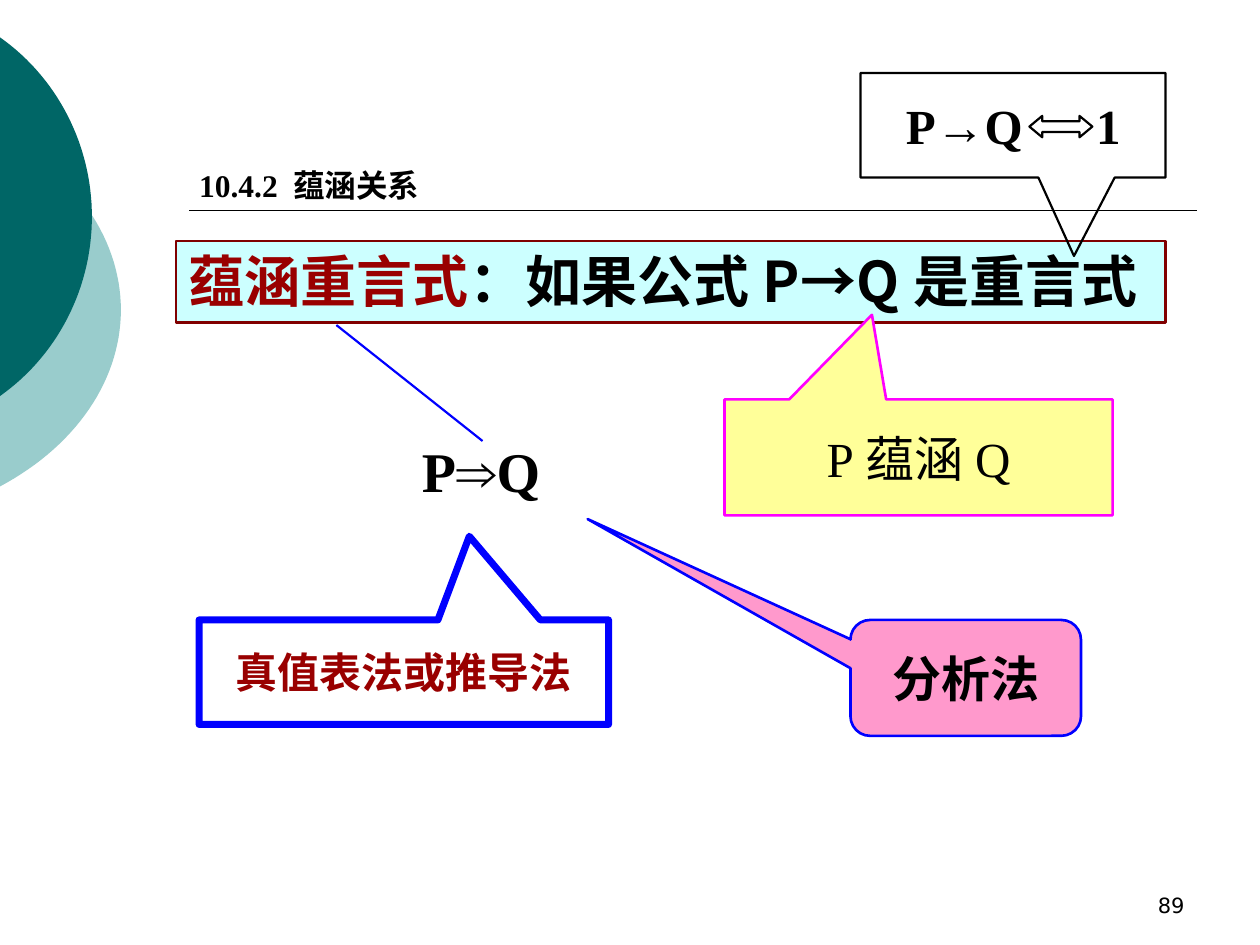
from math import acos, cos, sin

from lxml import etree
from pptx import Presentation
from pptx.dml.color import RGBColor
from pptx.enum.shapes import MSO_CONNECTOR, MSO_SHAPE
from pptx.enum.text import MSO_ANCHOR, PP_ALIGN
from pptx.oxml.ns import qn
from pptx.util import Inches, Pt

RECT = MSO_SHAPE.RECTANGLE
CALLOUT = MSO_SHAPE.RECTANGULAR_CALLOUT
ROUND_CALLOUT = MSO_SHAPE.ROUNDED_RECTANGULAR_CALLOUT
DOUBLE_ARROW = MSO_SHAPE.LEFT_RIGHT_ARROW
STRAIGHT = MSO_CONNECTOR.STRAIGHT
TOP, MIDDLE, BOTTOM = MSO_ANCHOR.TOP, MSO_ANCHOR.MIDDLE, MSO_ANCHOR.BOTTOM
LEFT, CENTER, RIGHT = PP_ALIGN.LEFT, PP_ALIGN.CENTER, PP_ALIGN.RIGHT

SERIF, CJK, SANS = "Times New Roman", "Noto Sans CJK SC", "DejaVu Sans"
COLORS = {
    "black": "000000", "teal": "006666", "light teal": "99CCCC",
    "cyan": "CCFFFF", "maroon": "800000", "red": "990000", "blue": "0000FF",
    "yellow": "FFFF99", "magenta": "FF00FF", "pink": "FF99CC",
}


def rgb(name):
    return RGBColor.from_string(COLORS[name])


class SlideBuilder:
    def __init__(self, slide):
        self.slide = slide
        self.shapes = slide.shapes

    def arc(self, cx, cy, rx, ry, fill):
        """Fill the part of an ellipse that lies right of the slide edge."""
        end, steps = acos(-cx / rx), 60
        angles = [end * (2 * i / steps - 1) for i in range(steps + 1)]
        points = [(Inches(cx + rx * cos(a)), Inches(cy + ry * sin(a))) for a in angles]
        builder = self.shapes.build_freeform(*points[0])
        builder.add_line_segments(points[1:], close=True)
        self.paint(builder.convert_to_shape(), fill, None, 0)

    def paint(self, sp, fill, line, width):
        sp.shadow.inherit = False
        if fill:
            sp.fill.solid()
            sp.fill.fore_color.rgb = rgb(fill)
        else:
            sp.fill.background()
        if line:
            sp.line.color.rgb = rgb(line)
            sp.line.width = Pt(width)
        else:
            sp.line.fill.background()

    def line(self, x1, y1, x2, y2, color, width):
        c = self.shapes.add_connector(STRAIGHT, *map(Inches, (x1, y1, x2, y2)))
        c.line.color.rgb = rgb(color)
        c.line.width = Pt(width)
        etree.SubElement(c._element.spPr, qn("a:effectLst"))

    def shape(self, kind, box, fill, line, width, adjust=()):
        sp = self.shapes.add_shape(kind, *map(Inches, box))
        for i, value in enumerate(adjust):
            sp.adjustments[i] = value
        self.paint(sp, fill, line, width)
        return sp

    def label(self, sp, runs, size, bold=True, align=CENTER, anchor=MIDDLE):
        """Put (text, font, colour) runs into a shape as its one paragraph."""
        tf = sp.text_frame
        tf.word_wrap = True
        tf.vertical_anchor = anchor
        p = tf.paragraphs[0]
        p.alignment = align
        p.font.size, p.font.bold = Pt(size), bold
        for text, font, color in runs:
            r = p.add_run()
            r.text = text
            r.font.name = font
            r.font.color.rgb = rgb(color)
            etree.SubElement(r._r.rPr, qn("a:ea"), typeface=font)
        return p

    def text(self, box, runs, size, **style):
        sp = self.shapes.add_textbox(*map(Inches, box))
        self.label(sp, runs, size, **style)

    def title(self, box, runs, size):
        sp = self.shapes.title
        sp.left, sp.top, sp.width, sp.height = map(Inches, box)
        self.label(sp, runs, size, align=LEFT, anchor=TOP)


def main():
    prs = Presentation()
    prs.slide_width, prs.slide_height = Inches(10), Inches(7.5)
    s = SlideBuilder(prs.slides.add_slide(prs.slide_layouts[5]))

    # Decoration and heading
    s.arc(-1.29, 2.46, 2.25, 1.71, "light teal")
    s.arc(-0.96, 1.72, 1.69, 1.73, "teal")
    s.line(1.5, 1.67, 9.5, 1.67, "black", 1)
    s.title((1.48, 1.27, 3.6, 0.41),
            [("10.4.2 ", SERIF, "black"), ("蕴涵关系", CJK, "black")], 18)

    # Definition
    definition = s.shape(RECT, (1.4, 1.91, 7.85, 0.65), "cyan", "maroon", 1.25)
    s.label(definition, [("蕴涵重言式", CJK, "red"),
                         ("：如果公式P→Q是重言式", CJK, "black")],
            32, align=LEFT, anchor=TOP)

    # Notation
    s.text((3.25, 3.42, 1.93, 0.63), [("P⇒Q", SERIF, "black")], 32, align=LEFT)
    s.line(2.67, 2.58, 3.83, 3.5, "blue", 1.25)

    # Reading and proof methods
    reading = s.shape(CALLOUT, (5.75, 3.17, 3.08, 0.92), "yellow", "magenta", 1.5,
                      (-0.12, -1.23))
    s.label(reading, [("P", SERIF, "black"), ("蕴涵", CJK, "black"),
                      ("Q", SERIF, "black")], 28, bold=False)
    table_method = s.shape(CALLOUT, (1.58, 4.92, 3.25, 0.83), None, "blue", 4,
                           (0.16, -1.3))
    s.label(table_method, [("真值表法或推导法", SANS, "red")], 24)
    analysis = s.shape(ROUND_CALLOUT, (6.75, 4.92, 1.83, 0.92), "pink", "blue", 1.5,
                       (-1.64, -1.37, 0.17))
    s.label(analysis, [("分析法", SANS, "black")], 28)

    # Equivalence: a tab stop leaves room for the double arrow
    equivalence = s.shape(CALLOUT, (6.83, 0.58, 2.42, 0.83), None, "black", 1.25,
                          (0.2, 1.25))
    equivalence.text_frame.margin_left = Inches(0.36)
    p = s.label(equivalence, [("P→Q\t1", SERIF, "black")], 28, align=LEFT)
    tabs = etree.Element(qn("a:tabLst"))
    etree.SubElement(tabs, qn("a:tab"), pos=str(Inches(1.51)), algn="l")
    p._p.pPr.insert(0, tabs)
    s.shape(DOUBLE_ARROW, (8.17, 0.92, 0.5, 0.17), None, "black", 1.25, (0.5, 0.6))

    # Slide number
    s.text((7.17, 6.83, 2.33, 0.5), [("89", SANS, "black")], 12,
           bold=False, align=RIGHT, anchor=BOTTOM)

    prs.save("out.pptx")


if __name__ == "__main__":
    main()
